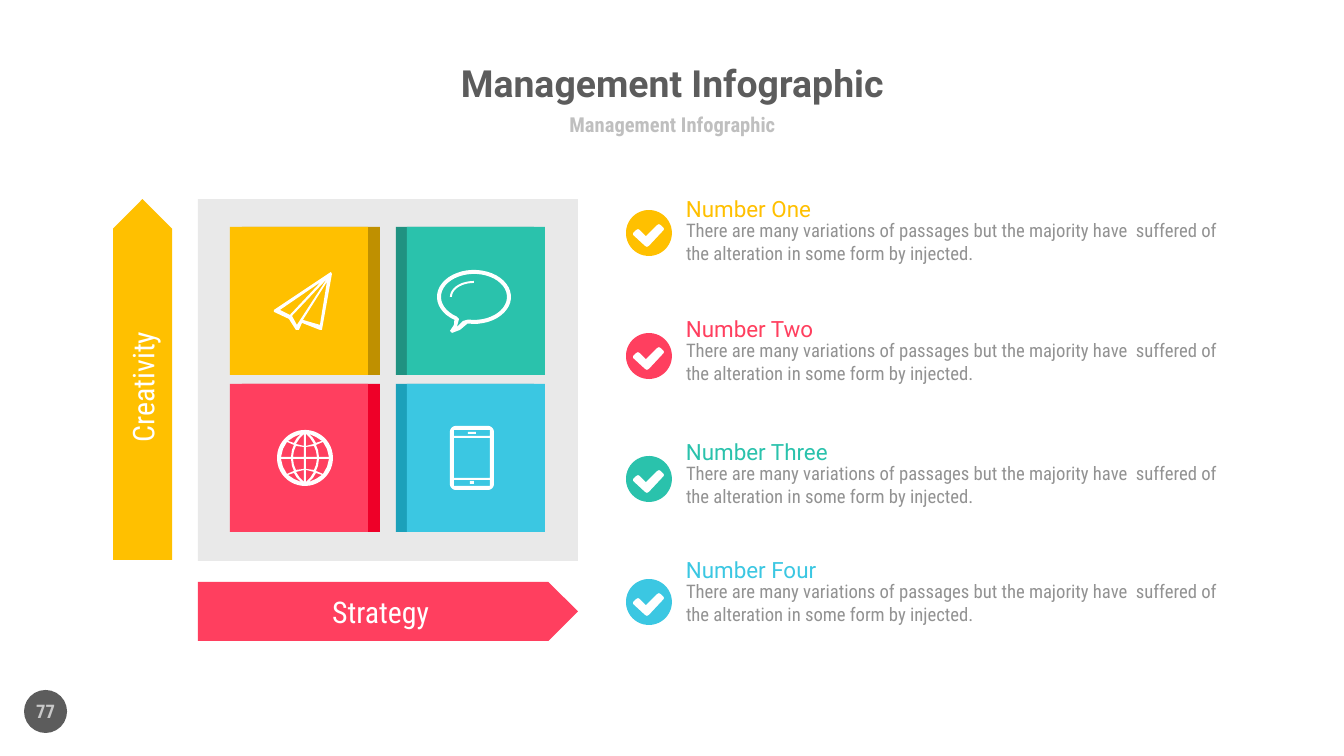
from itertools import product
from math import cos, radians, sin

from pptx import Presentation
from pptx.dml.color import RGBColor as RGB
from pptx.enum.shapes import MSO_SHAPE as SHAPE
from pptx.enum.text import MSO_ANCHOR as ANCHOR, MSO_AUTO_SIZE as AUTO, PP_ALIGN as ALIGN
from pptx.util import Pt

PX = 914400 / 134.4
C = {
    "yellow": "FFC000", "red": "FF3F5F", "teal": "2AC2AC", "blue": "3BC7E2",
    "dark yellow": "BF9000", "dark red": "EE0028", "dark teal": "209281", "dark blue": "1CA1BA",
    "title": "5C5C5C", "subtitle": "BFBFBF", "number": "C9C9C9", "body": "929292",
    "panel": "E9E9E9", "white": "FFFFFF",
}
BODY = ("There are many variations of passages but the majority have  suffered of "
        "the alteration in some form by injected.")


def write(s, text, size=10, color="body", font="Roboto Condensed", bold=False,
          align=ALIGN.LEFT, anchor=ANCHOR.TOP, wrap=False):
    tf = s.text_frame
    tf.auto_size = AUTO.NONE
    tf.word_wrap = wrap
    tf.vertical_anchor = anchor
    tf.margin_left = tf.margin_right = tf.margin_top = tf.margin_bottom = 0
    p = tf.paragraphs[0]
    p.alignment = align
    p.space_before = Pt(0)
    r = p.add_run()
    r.text = text
    r.font.size = Pt(size)
    r.font.name = font
    r.font.bold = bold
    r.font.color.rgb = RGB.from_string(C[color])
    return r


def draw(color, *contours):
    builder = None
    for contour in contours:
        points = []
        for piece in contour:
            if len(piece) == 2:
                points.append(piece)
                continue
            cx, cy, rx, ry, start, end = piece
            n = max(6, abs(end - start) // 8)
            angles = [radians(start + (end - start) * i / n) for i in range(n + 1)]
            points += [(cx + rx * cos(a), cy + ry * sin(a)) for a in angles]
        points = [(round(x * PX), round(y * PX)) for x, y in points]
        if builder is None:
            builder = shapes.build_freeform(*points[0], scale=1.0)
        else:
            builder.move_to(*points[0])
        builder.add_line_segments(points[1:], close=True)
    s = builder.convert_to_shape()
    s.shadow.inherit = False
    s.fill.solid()
    s.fill.fore_color.rgb = RGB.from_string(C[color])
    s.line.fill.background()


prs = Presentation()
prs.slide_width, prs.slide_height = round(1344 * PX), round(756 * PX)
slide = prs.slides.add_slide(prs.slide_layouts[2])
shapes = slide.shapes

title, subtitle = slide.placeholders
for s, box in ((title, (258, 56, 829, 53)), (subtitle, (370, 109, 605, 30))):
    s.left, s.top, s.width, s.height = [round(v * PX) for v in box]
r = write(title, "Management Infographic", size=20, color="title", font="Roboto",
          bold=True, align=ALIGN.CENTER, anchor=ANCHOR.MIDDLE)
r._r.get_or_add_rPr().set("cap", "none")
write(subtitle, "Management Infographic", size=11, color="subtitle", bold=True,
      align=ALIGN.CENTER, anchor=ANCHOR.MIDDLE)

blocks = [
    (SHAPE.OVAL, (24, 690, 43, 43), "title", 0, "77"),
    (SHAPE.RECTANGLE, (198, 199, 380, 362), "panel", 0, ""),
    (SHAPE.PENTAGON, (198, 582, 380, 59), "red", 0, "Strategy"),
    (SHAPE.PENTAGON, (-38, 350, 361, 59), "yellow", 270, "Creativity"),
]
tiles = (("yellow", "teal"), ("red", "blue"))
for row, col in product(range(2), range(2)):
    name, y = tiles[row][col], 227 + 157 * row
    dark_x, light_x = ((242, 230), (396, 407))[col]
    blocks.append((SHAPE.RECTANGLE, (dark_x, y, 138, 148), "dark " + name, 0, ""))
    blocks.append((SHAPE.RECTANGLE, (light_x, y, 138, 148), name, 0, ""))

for kind, box, color, turn, text in blocks:
    s = shapes.add_shape(kind, *[round(v * PX) for v in box])
    s.shadow.inherit = False
    s.fill.solid()
    s.fill.fore_color.rgb = RGB.from_string(C[color])
    s.line.fill.background()
    s.rotation = turn
    if text:
        number = text.isdigit()
        write(s, text, size=10 if number else 16, color="number" if number else "white",
              bold=number, align=ALIGN.CENTER, anchor=ANCHOR.MIDDLE)

plane = [(331, 272), (274, 310), (274, 312), (289, 319), (296, 330), (299, 330),
         (302, 323), (320, 330), (322, 330), (332, 274)]
folds = ([(280, 310), (321, 282), (290, 315)], [(292, 316), (327, 279), (297, 325)],
         [(320, 325), (303, 320), (327, 282)])
draw("white", plane, *folds)

globe_cells = (
    [(1, 1), (1, 11), (9, 12), (11, 7), (12, 1)],
    [(1, 24), (5, 20), (9, 14), (1, 12)],
    [(24, 1), (14, 1), (13, 8), (11, 13), (18, 16), (22, 9)],
    [(4, 24), (11, 21), (17, 17), (11, 15), (8, 20)],
)
cells = [[(305 + sx * x, 458 + sy * y) for x, y in cell]
         for sx, sy, cell in product((1, -1), (1, -1), globe_cells)]
draw("white", [(305, 458, 28, 28, 0, 360)], *cells)

draw("white", [(474, 297, 24, 16, 180, 270), (474, 297, 22, 14, 270, 180)])
draw("white",
     [(474, 297, 37, 27, 122, 460), (460, 330), (452, 333), (450, 331), (454, 325)],
     [(474, 297, 33, 23, 122, 460), (463, 321), (457, 327), (459, 319)])

corners = [(488, 432, -90), (488, 484, 0), (456, 484, 90), (456, 432, 180)]
windows = [(454, 430, 490, 436), (454, 438, 490, 478), (454, 480, 490, 486),
           (468, 432, 476, 434), (470, 481, 474, 484)]
draw("white", [(x, y, 6, 6, a, a + 90) for x, y, a in corners],
     *[[(x1, y1), (x2, y1), (x2, y2), (x1, y2)] for x1, y1, x2, y2 in windows])

check = [(15, -5), (12, -8), (10, -9), (8, -8), (-3, 3), (-9, -3), (-11, -4), (-13, -3),
         (-16, 0), (-16, 2), (-4, 13), (-2, 14), (0, 13), (15, -3)]
items = [("Number One", "yellow", 195), ("Number Two", "red", 315),
         ("Number Three", "teal", 438), ("Number Four", "blue", 556)]
for i, (heading, color, y) in enumerate(items):
    cy = 233 + 123 * i
    draw(color, [(649, cy, 23, 23, 0, 360)], [(649 + dx, cy + dy) for dx, dy in check])
    s = shapes.add_textbox(*[round(v * PX) for v in (686, y, 140, 27)])
    write(s, heading, size=12, color=color, font="Roboto")
    s = shapes.add_textbox(*[round(v * PX) for v in (686, y + 24, 551, 46)])
    write(s, BODY, wrap=True)

prs.save("out.pptx")
